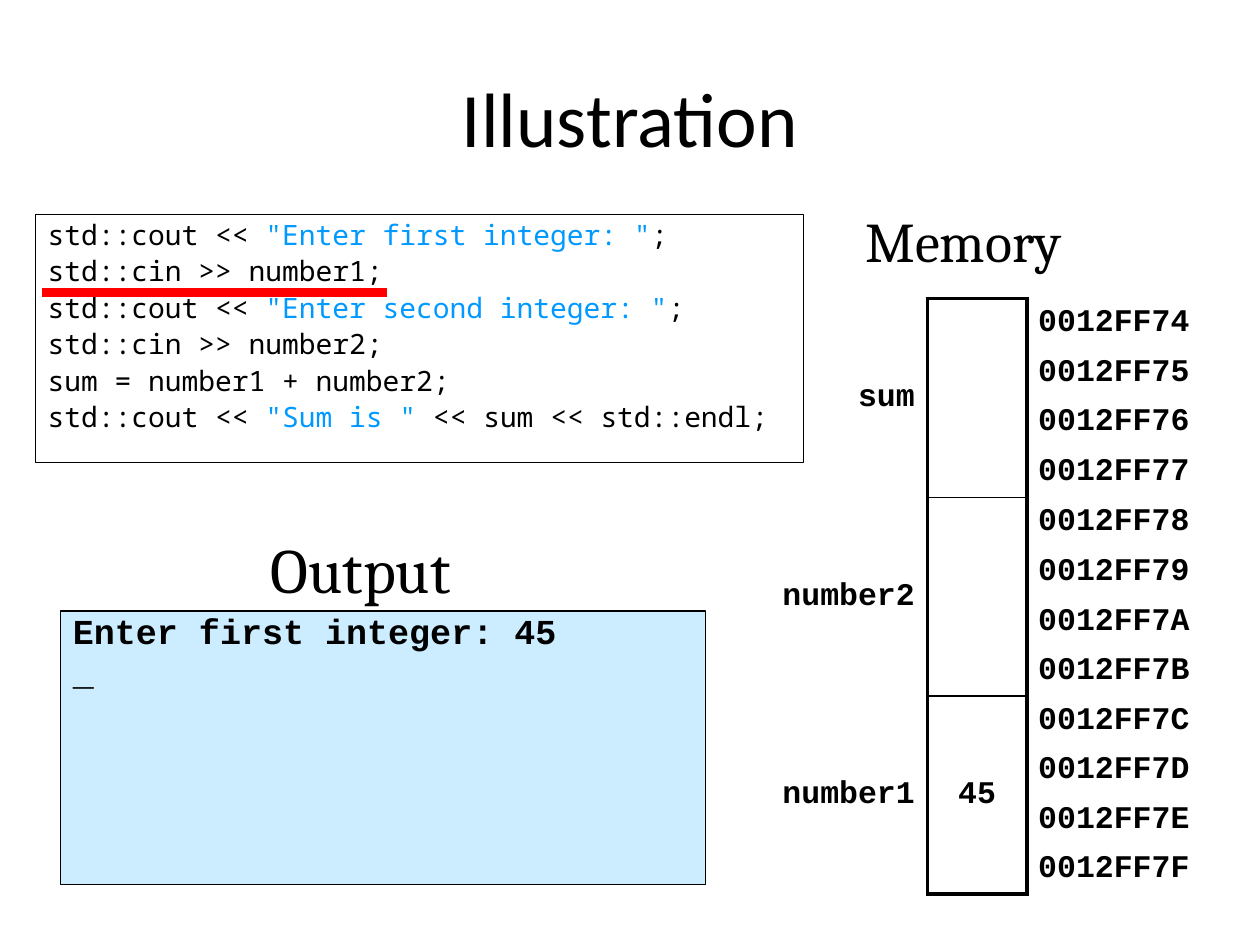
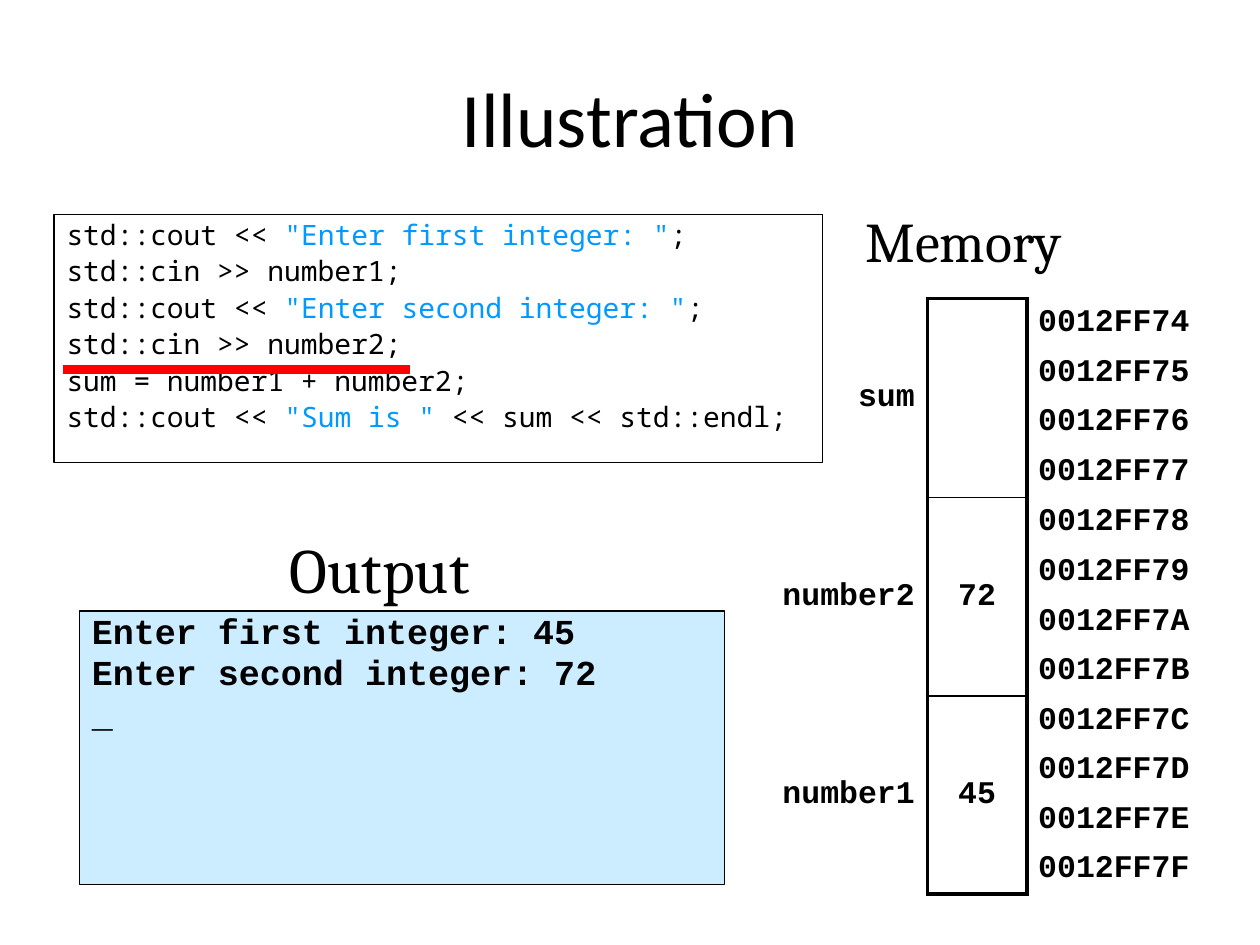
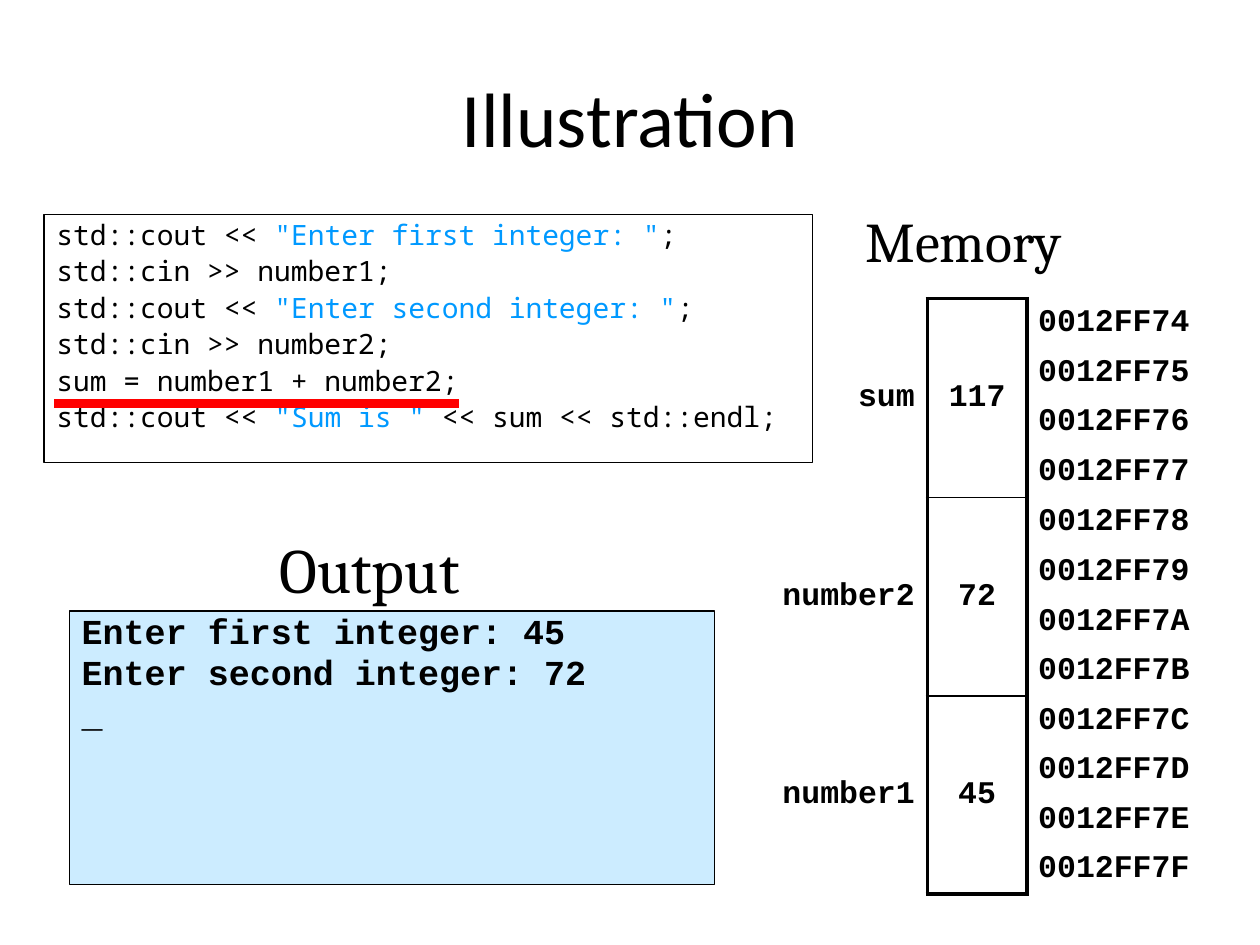
from dataclasses import dataclass
from lxml.etree import SubElement as Sub
from pptx import Presentation as Deck
from pptx.dml.color import RGBColor as Color
from pptx.enum.shapes import MSO_CONNECTOR as Link, MSO_SHAPE as Shape
from pptx.enum.text import MSO_ANCHOR as Anchor, PP_ALIGN as Align
from pptx.oxml.ns import qn
from pptx.util import Inches, Pt

TITLE = "Illustration"
CODE = [
    'std::cout << "Enter first integer: ";',
    "std::cin >> number1;",
    'std::cout << "Enter second integer: ";',
    "std::cin >> number2;",
    "sum = number1 + number2;",
    'std::cout << "Sum is " << sum << std::endl;',
]
FIRST = "Enter first integer: 45"
SECOND = "Enter second integer: 72"
NAMES = ["sum", "number2", "number1"]
BASE, BYTES = 0x0012FF74, 4
STEPS = [
    dict(left=0.28, output=[FIRST, "_"], values=["", "", "45"],
         mark=(0.33, 3.07, 2.32)),
    dict(left=0.43, output=[FIRST, SECOND, "_"], values=["", "72", "45"],
         mark=(0.5, 3.25, 2.93)),
    dict(left=0.35, output=[FIRST, SECOND, "_"], values=["117", "72", "45"],
         mark=(0.43, 3.64, 3.2)),
]


@dataclass(frozen=True)
class Theme:
    ink: str = "000000"
    quote: str = "0099FF"
    screen: str = "CCECFF"
    mark: str = "FF0000"
    title: tuple = ("Calibri", 44)
    output: tuple = ("Cambria", 36)
    memory: tuple = ("Cambria", 32)
    code: tuple = ("Noto Sans Mono", 16)
    prompt: tuple = ("Courier New", 20)
    cell: tuple = ("Courier New", 18)
    frame: float = 0.75
    thin: float = 1
    thick: float = 2.25
    heavy: float = 5.25
    plain: str = "{2D5ABB26-0587-4C30-8999-92F81FD0307C}"


LOOK = Theme()


def style(run, face, bold=False, color=LOOK.ink):
    font = run.font
    font.name, font.size = face[0], Pt(face[1])
    font.bold = bold
    font.color.rgb = Color.from_string(color)


def write(frame, lines, face, bold=False, align=Align.LEFT, gap=0, pitch=None):
    frame.text = "\n".join(lines)
    for i, para in enumerate(frame.paragraphs):
        para.alignment = align
        para.line_spacing = pitch
        para.space_before = Pt(gap if i else 0)
        for run in para.runs:
            style(run, face, bold)


def label(slide, place, text, face, anchor=Anchor.BOTTOM, align=Align.LEFT):
    frame = slide.shapes.add_textbox(*map(Inches, place)).text_frame
    frame.word_wrap = True
    frame.vertical_anchor = anchor
    write(frame, [text], face, align=align)
    return frame


def panel(slide, place, fill=None):
    box = slide.shapes.add_shape(Shape.RECTANGLE, *map(Inches, place))
    box.shadow.inherit = False
    if fill:
        box.fill.solid()
        box.fill.fore_color.rgb = Color.from_string(fill)
    else:
        box.fill.background()
    box.line.color.rgb = Color.from_string(LOOK.ink)
    box.line.width = Pt(LOOK.frame)
    frame = box.text_frame
    frame.word_wrap = True
    frame.vertical_anchor = Anchor.TOP
    return frame


def listing(slide, left):
    frame = panel(slide, (left, 1.7, 6.1, 1.97))
    write(frame, [""] * len(CODE), LOOK.code, gap=3.2, pitch=0.92)
    for para, line in zip(frame.paragraphs, CODE):
        for i, part in enumerate(line.split('"')):
            run = para.add_run()
            run.text = f'"{part}"' if i % 2 else part
            style(run, LOOK.code, color=LOOK.quote if i % 2 else LOOK.ink)


def edge(cell, **sides):
    props = cell._tc.get_or_add_tcPr()
    for side, width in sides.items():
        line = Sub(props, qn(f"a:ln{side}"), w=str(Pt(width)))
        Sub(Sub(line, qn("a:solidFill")), qn("a:srgbClr"), val=LOOK.ink)


def fill_cell(cell, text, align, pad):
    cell.margin_left = cell.margin_right = Inches(2 * pad)
    cell.margin_top = cell.margin_bottom = Inches(pad)
    cell.vertical_anchor = Anchor.MIDDLE
    write(cell.text_frame, [text], LOOK.cell, bold=True, align=align)


def memory(slide, values):
    rows = BYTES * len(NAMES)
    place = map(Inches, (5.98, 2.37, 3.54, 4.72))
    holder = slide.shapes.add_table(rows, 3, *place)
    table = holder.table
    table.first_row = table.horz_banding = False
    for node in holder.element.iter(qn("a:tableStyleId")):
        node.text = LOOK.plain
    for col, width in zip(table.columns, (1.38, 0.79, 1.38)):
        col.width = Inches(width)
    for i, (name, value) in enumerate(zip(NAMES, values)):
        top, end = i * BYTES, (i + 1) * BYTES - 1
        for col in range(2):
            table.cell(top, col).merge(table.cell(end, col))
        tag, slot = table.cell(top, 0), table.cell(top, 1)
        fill_cell(tag, name, Align.RIGHT, 0.05)
        fill_cell(slot, value, Align.CENTER, 0.05)
        edge(tag, R=LOOK.thick)
        edge(slot, L=LOOK.thick, R=LOOK.thick,
             T=LOOK.thin if top else LOOK.thick,
             B=LOOK.thick if end == rows - 1 else LOOK.thin)
    for row in range(rows):
        fill_cell(table.cell(row, 2), f"{BASE + row:08X}", Align.CENTER, 0.04)
    for cell in table.iter_cells():
        cell.fill.background()


def stroke(slide, start, end, y):
    line = slide.shapes.add_connector(
        Link.STRAIGHT, *map(Inches, (start, y, end, y)))
    line.line.color.rgb = Color.from_string(LOOK.mark)
    line.line.width = Pt(LOOK.heavy)
    Sub(line.element.spPr, qn("a:effectLst"))


def build(slide, left, output, values, mark):
    label(slide, (left + 1.77, 4.07, 1.97, 0.79), "Output", LOOK.output)
    listing(slide, left)
    screen = panel(slide, (left + 0.2, 4.85, 5.12, 2.17), LOOK.screen)
    write(screen, output, LOOK.prompt, bold=True, gap=4.5, pitch=0.8)
    head = label(slide, (6.77, 1.58, 1.97, 0.59), "Memory", LOOK.memory)
    head.margin_bottom = 0
    memory(slide, values)
    label(slide, (0.5, 0.3, 9, 1.25), TITLE, LOOK.title,
          Anchor.MIDDLE, Align.CENTER)
    stroke(slide, *mark)


def main():
    deck = Deck()
    deck.slide_width, deck.slide_height = Inches(10), Inches(7.5)
    for step in STEPS:
        build(deck.slides.add_slide(deck.slide_layouts[6]), **step)
    deck.save("out.pptx")


if __name__ == "__main__":
    main()
